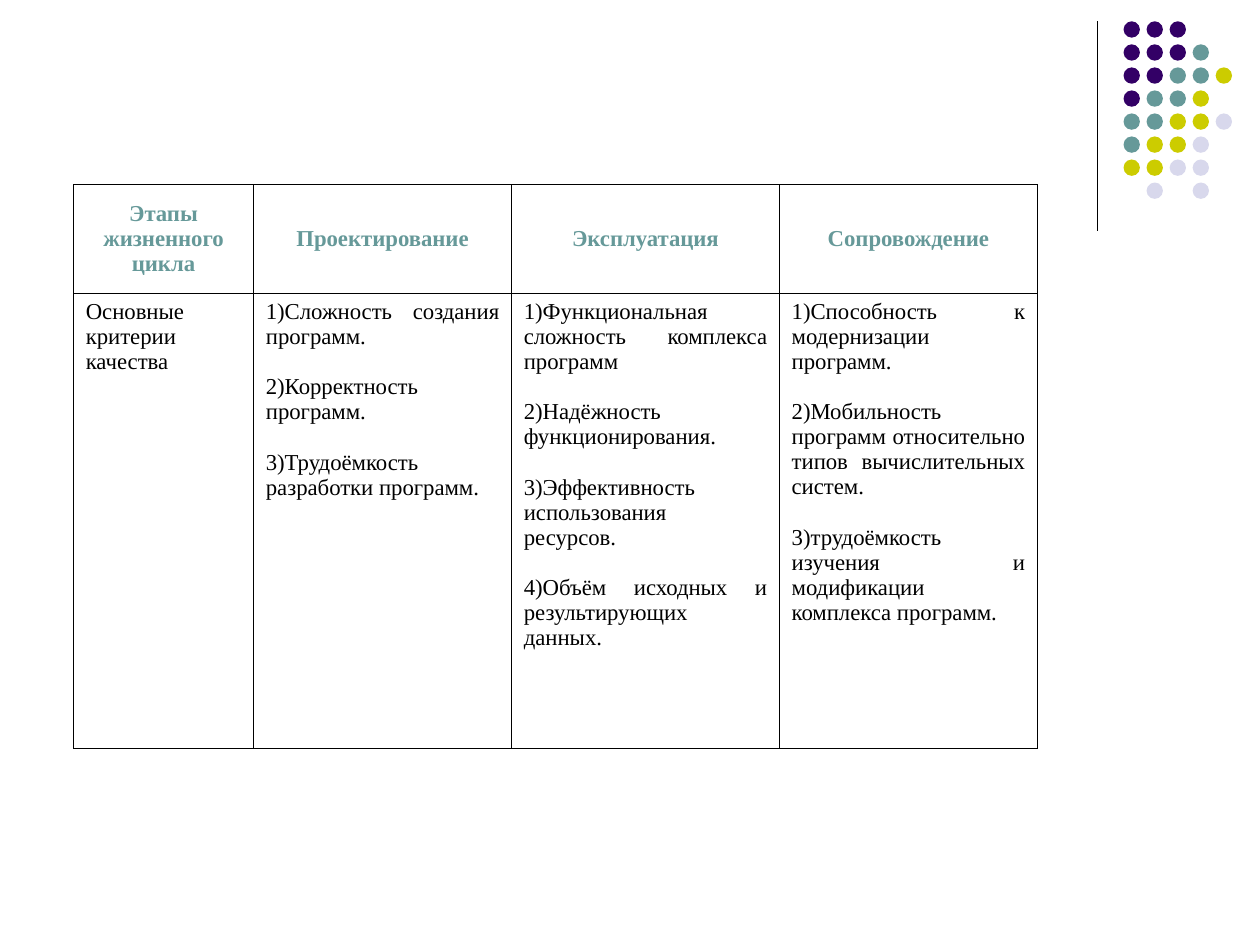
from typing import NamedTuple

from lxml.etree import SubElement
from pptx import Presentation
from pptx.dml.color import RGBColor
from pptx.enum.shapes import MSO_CONNECTOR, MSO_SHAPE
from pptx.enum.text import MSO_ANCHOR, PP_ALIGN
from pptx.oxml import parse_xml
from pptx.oxml.ns import nsdecls, qn
from pptx.util import Cm, Pt

BLACK = RGBColor(0x00, 0x00, 0x00)
PURPLE = RGBColor(0x33, 0x00, 0x66)
TEAL = RGBColor(0x66, 0x99, 0x99)
OLIVE = RGBColor(0xCC, 0xCC, 0x00)
LILAC = RGBColor(0xD8, 0xD8, 0xEC)

FONT = "Times New Roman"
TEXT_SIZE = Pt(13)
ITEM_GAP = Pt(14.4)

# Dot pattern: one letter per dot, a full stop for a gap
DOT_COLORS = {"P": PURPLE, "T": TEAL, "O": OLIVE, "L": LILAC}
DOT_ROWS = ("PPP", "PPPT", "PPTTO", "PTTO", "TTOOL", "TOOL", "OOLL", ".L.L")
DOT_LEFT, DOT_TOP = 22.65, 0.43
DOT_SIZE = 0.33
DOT_PITCH = 3.25 / 7


class Stage(NamedTuple):
    """One table column; a line break inside an item starts a new paragraph."""
    title: str
    width: float
    items: tuple[str, ...]
    align: PP_ALIGN = PP_ALIGN.JUSTIFY


STAGES = (
    Stage("Этапы жизненного цикла", 3.63, ("Основные критерии качества",), PP_ALIGN.LEFT),
    Stage("Проектирование", 5.2, (
        "1)Сложность создания программ.",
        "2)Корректность программ.",
        "3)Трудоёмкость разработки программ.",
    )),
    Stage("Эксплуатация", 5.4, (
        "1)Функциональная сложность комплекса программ",
        "2)Надёжность функционирования.",
        "3)Эффективность\nиспользования\nресурсов.",
        "4)Объём исходных и результирующих данных.",
    )),
    Stage("Сопровождение", 5.2, (
        "1)Способность к модернизации программ.",
        "2)Мобильность программ относительно типов вычислительных систем.",
        "3)трудоёмкость изучения и модификации комплекса программ.",
    )),
)
ROW_HEIGHTS = (2.19, 9.18)


def draw_rule(page) -> None:
    rule = page.shapes.add_connector(
        MSO_CONNECTOR.STRAIGHT, Cm(22.12), Cm(0.43), Cm(22.12), Cm(4.65))
    rule.line.color.rgb = BLACK
    rule.line.width = Pt(0.75)
    SubElement(rule._element.spPr, qn("a:effectLst"))


def draw_dots(page) -> None:
    group = page.shapes.add_group_shape()
    for row, letters in enumerate(DOT_ROWS):
        for column, letter in enumerate(letters):
            if letter not in DOT_COLORS:
                continue
            dot = group.shapes.add_shape(
                MSO_SHAPE.OVAL,
                Cm(DOT_LEFT + column * DOT_PITCH), Cm(DOT_TOP + row * DOT_PITCH),
                Cm(DOT_SIZE), Cm(DOT_SIZE))
            dot.shadow.inherit = False
            dot.fill.solid()
            dot.fill.fore_color.rgb = DOT_COLORS[letter]
            dot.line.fill.background()


def style_cell(cell, anchor: MSO_ANCHOR) -> None:
    cell.margin_left = cell.margin_right = Cm(0.25)
    cell.margin_top = cell.margin_bottom = Cm(0.13)
    cell.vertical_anchor = anchor
    cell.fill.background()
    properties = cell._tc.get_or_add_tcPr()
    for index, side in enumerate(("lnL", "lnR", "lnT", "lnB")):
        border = parse_xml(
            f'<a:{side} {nsdecls("a")} w="{Pt(0.45)}"><a:solidFill>'
            f'<a:srgbClr val="{BLACK}"/></a:solidFill></a:{side}>')
        properties.insert(index, border)


def style_para(para, align: PP_ALIGN, color: RGBColor, bold: bool) -> None:
    para.alignment = align
    para.font.name = FONT
    para.font.size = TEXT_SIZE
    para.font.bold = bold
    para.font.color.rgb = color


def fill_header(cell, stage: Stage) -> None:
    style_cell(cell, MSO_ANCHOR.MIDDLE)
    para = cell.text_frame.paragraphs[0]
    para.text = stage.title
    style_para(para, PP_ALIGN.CENTER, TEAL, True)


def fill_criteria(cell, stage: Stage) -> None:
    style_cell(cell, MSO_ANCHOR.TOP)
    frame = cell.text_frame
    for item_number, item in enumerate(stage.items):
        for line_number, line in enumerate(item.split("\n")):
            is_first = item_number == line_number == 0
            para = frame.paragraphs[0] if is_first else frame.add_paragraph()
            para.text = line
            if item_number and not line_number:
                para.space_before = ITEM_GAP
            style_para(para, stage.align, BLACK, False)


def draw_table(page) -> None:
    width = sum(stage.width for stage in STAGES)
    table = page.shapes.add_table(
        len(ROW_HEIGHTS), len(STAGES),
        Cm(1.48), Cm(3.72), Cm(width), Cm(sum(ROW_HEIGHTS))).table
    table.first_row = table.horz_banding = False
    for row, height in zip(table.rows, ROW_HEIGHTS):
        row.height = Cm(height)
    for column, stage in enumerate(STAGES):
        table.columns[column].width = Cm(stage.width)
        fill_header(table.cell(0, column), stage)
        fill_criteria(table.cell(1, column), stage)


def main() -> None:
    deck = Presentation()
    deck.slide_width, deck.slide_height = Cm(25.4), Cm(19.05)
    page = deck.slides.add_slide(deck.slide_layouts[6])
    # Corner decoration
    draw_rule(page)
    draw_dots(page)
    # Quality criteria for each stage of the life cycle
    draw_table(page)
    deck.save("out.pptx")


if __name__ == "__main__":
    main()
